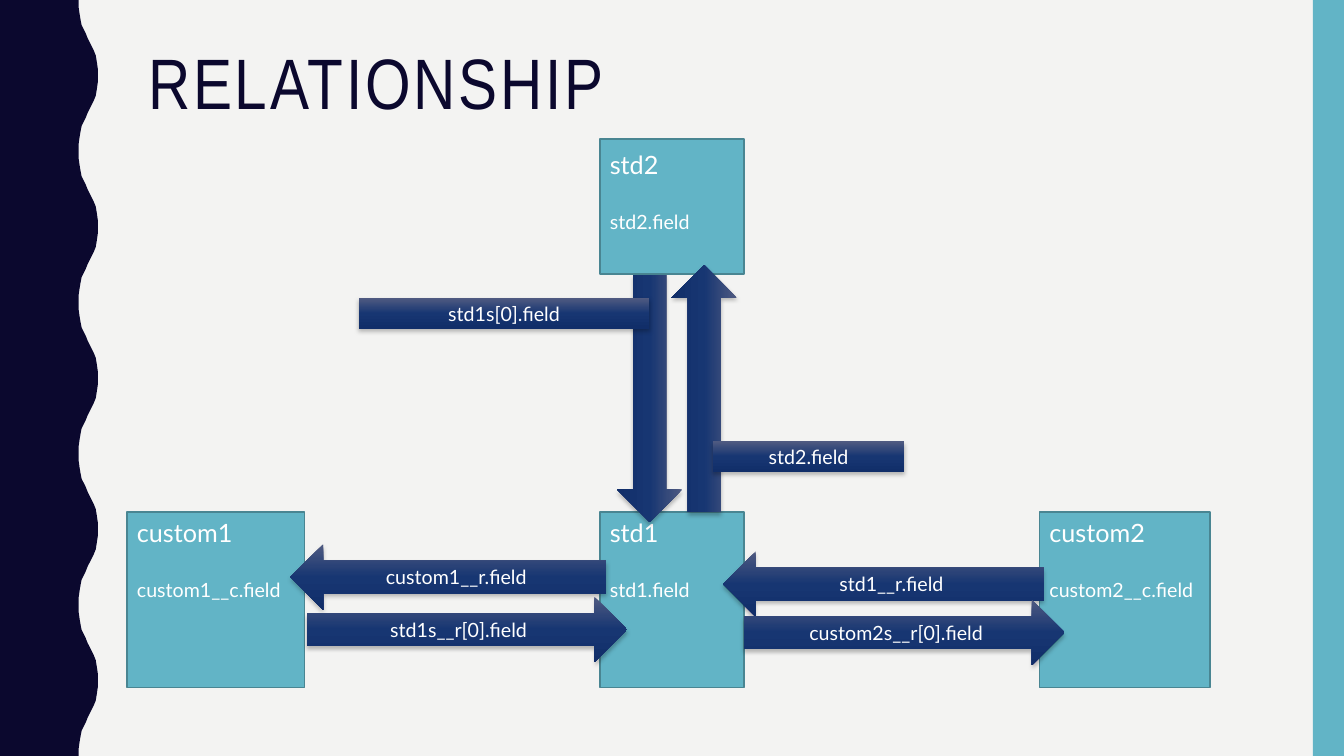
"""Build the slide showing how standard and custom objects relate."""
from copy import deepcopy

from lxml import etree
from pptx import Presentation
from pptx.dml.color import RGBColor
from pptx.enum.shapes import MSO_SHAPE
from pptx.enum.text import MSO_ANCHOR, MSO_AUTO_SIZE, PP_ALIGN
from pptx.oxml.ns import qn
from pptx.util import Inches, Pt

RECT, LEFT, RIGHT = MSO_SHAPE.RECTANGLE, MSO_SHAPE.LEFT_ARROW, MSO_SHAPE.RIGHT_ARROW
TOP, MIDDLE = MSO_ANCHOR.TOP, MSO_ANCHOR.MIDDLE
START, CENTER = PP_ALIGN.LEFT, PP_ALIGN.CENTER

COLORS = {"back": "F3F3F2", "navy": "0B082E", "teal": "62B4C6",
          "edge": "498592", "white": "FFFFFF"}
BLEND = [(0, "4F5A81"), (0.5, "173672"), (1, "112E69")]
WIDE, HIGH = 13.33, 7.5

TITLE = "RELATIONSHIP"
BOXES = [
    ("std2", "std2.field", (5.95, 1.38, 1.43, 1.34), MIDDLE),
    ("custom1", "custom1__c.field", (1.26, 5.08, 1.76, 1.74), TOP),
    ("std1", "std1.field", (5.95, 5.08, 1.43, 1.74), TOP),
    ("custom2", "custom2__c.field", (10.31, 5.08, 1.69, 1.74), TOP),
]
LINKS = [
    ("", LEFT, (5.76, 3.53, 2.45, 0.65), 90),
    ("custom1__r.field", LEFT, (2.88, 5.4, 3.13, 0.65), 0),
    ("std1s__r[0].field", RIGHT, (3.04, 5.92, 3.18, 0.65), 0),
    ("std1__r.field", LEFT, (7.17, 5.47, 3.18, 0.65), 0),
    ("custom2s__r[0].field", RIGHT, (7.38, 5.95, 3.18, 0.65), 0),
    ("", RIGHT, (5.22, 3.63, 2.45, 0.65), 90),
    ("std2.field", RECT, (7.07, 4.38, 1.9, 0.3), 0),
    ("std1s[0].field", RECT, (3.56, 2.96, 2.88, 0.3), 0),
]
PERIOD = 1.5
CURVE = [(0.78, 0), (0.78, 0.07), (0.79, 0.14), (0.8, 0.2), (0.81, 0.25),
         (0.83, 0.29), (0.85, 0.33), (0.87, 0.38), (0.89, 0.42), (0.91, 0.46),
         (0.93, 0.5), (0.95, 0.55), (0.96, 0.61), (0.97, 0.68), (0.97, 0.75)]


def color(name):
    return RGBColor.from_string(COLORS[name])


def paint(shape, name):
    shape.shadow.inherit = False
    shape.fill.solid()
    shape.fill.fore_color.rgb = color(name)
    shape.line.fill.background()


def add_shape(slide, kind, place):
    return slide.shapes.add_shape(kind, *map(Inches, place))


def write(para, text, size, align):
    para.text = text
    para.alignment = align
    for run in para.runs:
        run.font.size = Pt(size)
        run.font.name = "Lato"
        run.font.color.rgb = color("white")


def add_wave(slide):
    wave = CURVE + [(x, PERIOD - y) for x, y in CURVE[-2::-1]]
    edge = [(x, y + n * PERIOD) for n in range(5) for x, y in wave]
    points = [(Inches(x), Inches(y)) for x, y in edge + [(0, HIGH)]]
    form = slide.shapes.build_freeform(0, 0)
    form.add_line_segments(points, close=True)
    paint(form.convert_to_shape(), "navy")


def add_title(slide):
    title = slide.shapes.title
    title.left, title.top, title.width, title.height = map(
        Inches, (1.37, 0.42, 11.13, 1.63))
    frame = title.text_frame
    frame.text = TITLE
    frame.auto_size = MSO_AUTO_SIZE.NONE
    frame.vertical_anchor = TOP
    para = frame.paragraphs[0]
    para.alignment = START
    para.line_spacing = 0.9
    run = para.runs[0]
    run.font.size = Pt(51)
    run.font.name = "Arial Narrow"
    run.font.color.rgb = color("navy")
    run.font._element.set("spc", "200")


def add_box(slide, name, field, place, anchor):
    box = add_shape(slide, RECT, place)
    paint(box, "teal")
    box.line.color.rgb = color("edge")
    box.line.width = Pt(1)
    frame = box.text_frame
    frame.vertical_anchor = anchor
    frame.margin_bottom = Inches(0.35)
    write(frame.paragraphs[0], name, 18, START)
    para = frame.add_paragraph()
    write(para, field, 14, START)
    para.space_before = Pt(21.6)


def add_link(slide, text, kind, place, turn):
    link = add_shape(slide, kind, place)
    link.rotation = turn
    link.line.fill.background()
    link.fill.gradient()
    link.fill.gradient_angle = 270
    props = link._element.spPr
    stops = props.find(".//" + qn("a:gsLst"))
    stops.append(deepcopy(stops[-1]))
    for stop, (pos, tone) in zip(link.fill.gradient_stops, BLEND):
        stop.position = pos
        stop.color.rgb = RGBColor.from_string(tone)
    link.shadow.inherit = False
    shade = etree.SubElement(
        props.find(qn("a:effectLst")), qn("a:outerShdw"), blurRad=str(Pt(3)),
        dist=str(Pt(2)), dir="5400000", rotWithShape="0")
    black = etree.SubElement(shade, qn("a:srgbClr"), val="000000")
    etree.SubElement(black, qn("a:alpha"), val="25000")
    if text:
        link.text_frame.vertical_anchor = MIDDLE
        write(link.text_frame.paragraphs[0], text, 14, CENTER)


def main():
    deck = Presentation()
    deck.slide_width, deck.slide_height = Inches(WIDE), Inches(HIGH)
    slide = deck.slides.add_slide(deck.slide_layouts[5])
    slide.background.fill.solid()
    slide.background.fill.fore_color.rgb = color("back")
    add_wave(slide)
    paint(add_shape(slide, RECT, (13.02, 0, 0.31, HIGH)), "teal")
    add_title(slide)
    for box in BOXES:
        add_box(slide, *box)
    for link in LINKS:
        add_link(slide, *link)
    deck.save("out.pptx")


if __name__ == "__main__":
    main()
